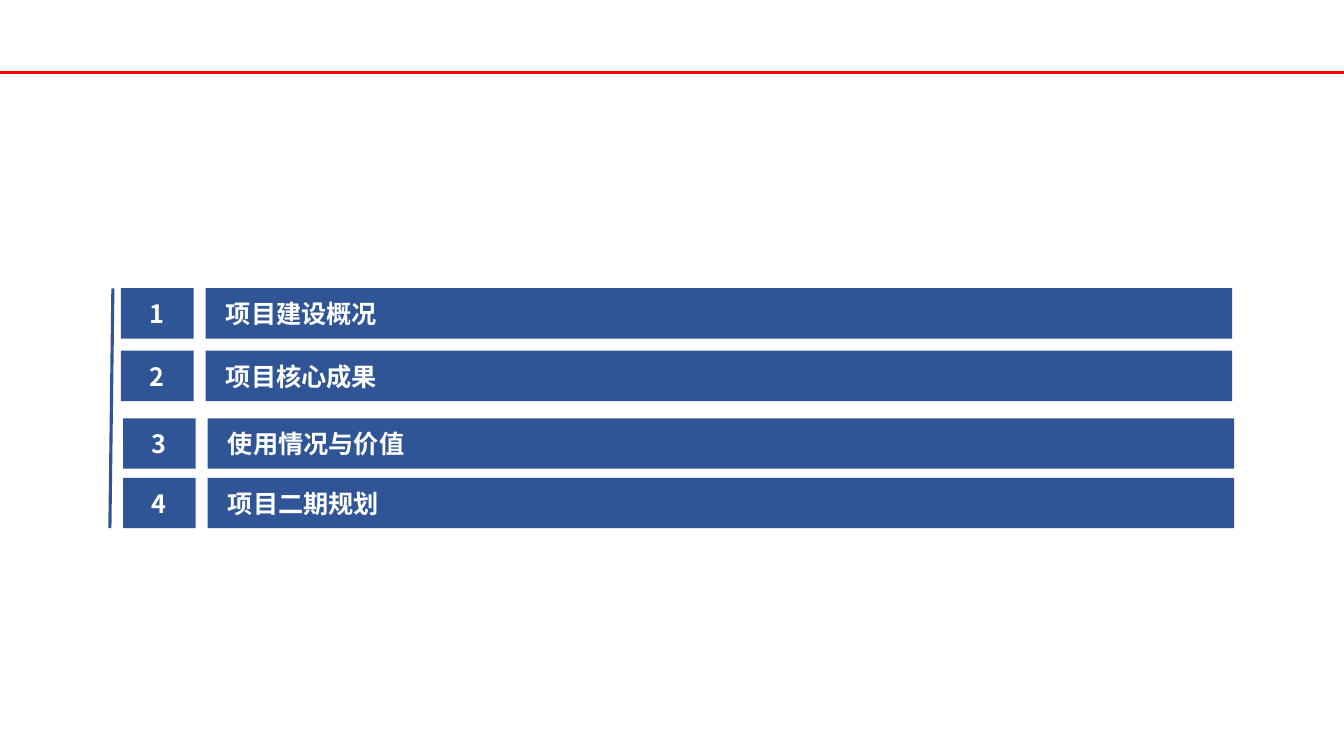
from dataclasses import dataclass

from lxml import etree
from pptx import Presentation
from pptx.dml.color import RGBColor
from pptx.enum.shapes import MSO_CONNECTOR, MSO_SHAPE
from pptx.enum.text import MSO_ANCHOR, PP_ALIGN
from pptx.oxml.ns import qn
from pptx.util import Inches, Pt

RECTANGLE = MSO_SHAPE.RECTANGLE
STRAIGHT = MSO_CONNECTOR.STRAIGHT
MIDDLE = MSO_ANCHOR.MIDDLE
LEFT, CENTER = PP_ALIGN.LEFT, PP_ALIGN.CENTER

SLIDE_WIDTH, SLIDE_HEIGHT = 13.33, 7.5


@dataclass(frozen=True)
class Theme:
    bar: RGBColor = RGBColor(0x2F, 0x55, 0x97)
    rule: RGBColor = RGBColor(0xFF, 0x00, 0x00)
    text: RGBColor = RGBColor(0xFF, 0xFF, 0xFF)
    font: str = "Noto Sans CJK SC"
    text_size: float = 18
    line_width: float = 2.25


THEME = Theme()

# Agenda entries: title, shift right and down from the agenda's corner
AGENDA = [
    ("项目建设概况", 0, 0),
    ("项目核心成果", 0, 0.62),
    ("使用情况与价值", 0.02, 1.29),
    ("项目二期规划", 0.02, 1.88),
]
AGENDA_BOX = (1.2, 2.86, 11.04, 2.38)
ROW_HEIGHT = 0.5
NUMBER_WIDTH = 0.72
COLUMN_GAP = 0.12
ROW_SHIFT = 0.02


def add_line(slide, start, end, color):
    line = slide.shapes.add_connector(STRAIGHT, *map(Inches, start + end))
    line.line.color.rgb = color
    line.line.width = Pt(THEME.line_width)
    etree.SubElement(line._element.spPr, qn("a:effectLst"))


def add_bar(slide, box, text, align=LEFT, margins=(0, 0, 0, 0), wrap=True):
    bar = slide.shapes.add_shape(RECTANGLE, *map(Inches, box))
    bar.shadow.inherit = False
    bar.fill.solid()
    bar.fill.fore_color.rgb = THEME.bar
    bar.line.fill.background()

    frame = bar.text_frame
    frame.word_wrap = wrap
    frame.vertical_anchor = MIDDLE
    (frame.margin_left, frame.margin_top,
     frame.margin_right, frame.margin_bottom) = map(Inches, margins)

    paragraph = frame.paragraphs[0]
    paragraph.alignment = align
    run = paragraph.add_run()
    run.text = text
    run.font.size = Pt(THEME.text_size)
    run.font.bold = True
    run.font.color.rgb = THEME.text
    run.font.name = THEME.font
    east_asian = etree.SubElement(run.font._element, qn("a:ea"))
    east_asian.set("typeface", THEME.font)


def add_header_rule(slide, top):
    add_line(slide, (0, top), (SLIDE_WIDTH, top), THEME.rule)


def add_agenda(slide, box, entries):
    left, top, width, height = box

    # Slightly slanted line beside the numbers
    add_line(slide, (left - 0.08, top), (left - 0.11, top + height), THEME.bar)

    # Number and title bars
    title_offset = NUMBER_WIDTH + COLUMN_GAP
    title_width = width - title_offset - ROW_SHIFT
    for number, (title, shift, drop) in enumerate(entries, start=1):
        row_left, row_top = left + shift, top + drop
        add_bar(slide, (row_left, row_top, NUMBER_WIDTH, ROW_HEIGHT),
                str(number), align=CENTER, wrap=False)
        add_bar(slide, (row_left + title_offset, row_top, title_width, ROW_HEIGHT),
                title, margins=(0.2, 0.05, 0.08, 0.05))


def main():
    presentation = Presentation()
    presentation.slide_width = Inches(SLIDE_WIDTH)
    presentation.slide_height = Inches(SLIDE_HEIGHT)
    slide = presentation.slides.add_slide(presentation.slide_layouts[6])
    add_header_rule(slide, top=0.72)
    add_agenda(slide, AGENDA_BOX, AGENDA)
    presentation.save("out.pptx")


if __name__ == "__main__":
    main()
